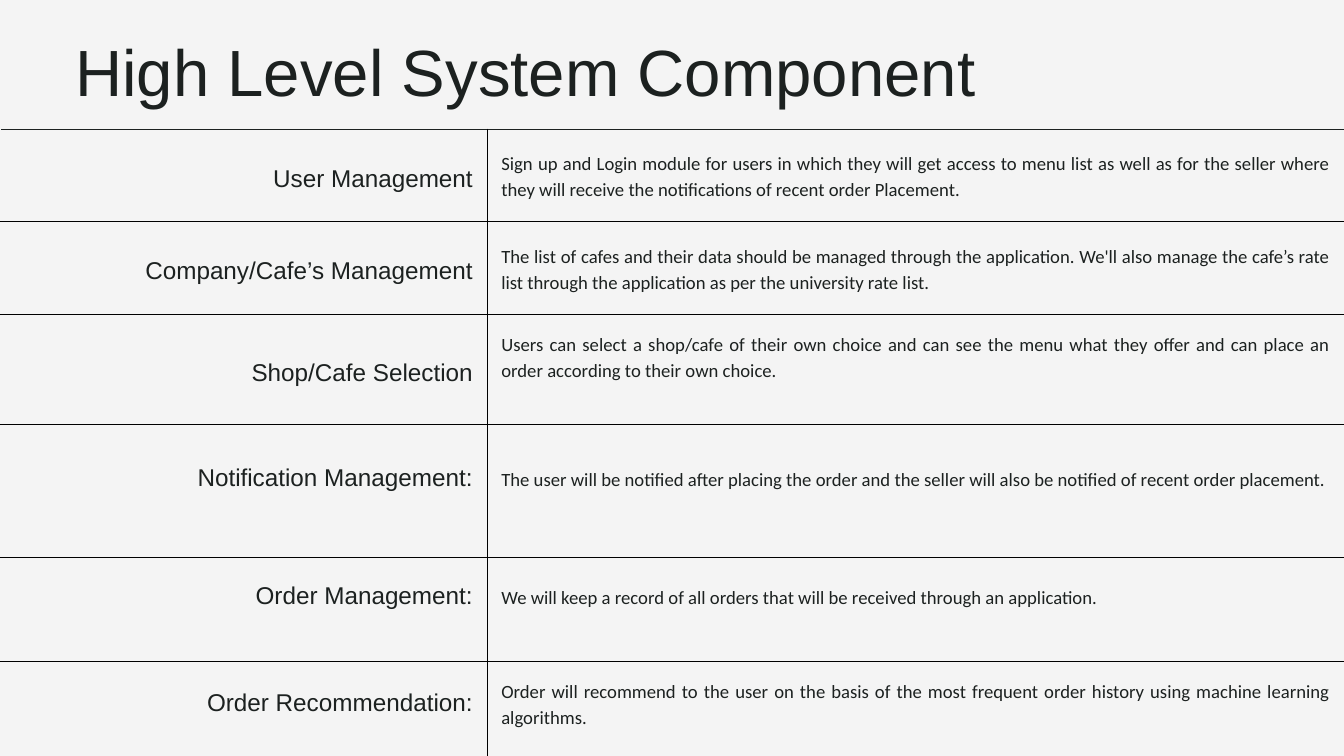
from dataclasses import dataclass

import pptx
import pptx.dml.color
import pptx.enum.text
import pptx.oxml
import pptx.oxml.ns
import pptx.util
from pptx.util import Inches

ALIGN = pptx.enum.text.PP_ALIGN


@dataclass(frozen=True)
class Theme:
    paper: str = "F4F4F4"
    ink: str = "1C2120"
    rule: str = "000000"
    rule_pt: float = 0.75
    heading_font: str = "Arial"
    body_font: str = "Calibri"
    title_pt: float = 70
    label_pt: float = 26
    body_pt: float = 20
    label_leading: float = 36.4
    body_leading: float = 28
    title_leading: float = 84
    inset: float = 0.21


def rgb(value):
    return pptx.dml.color.RGBColor.from_string(value)


def write(tf, text, *, font, size, color, leading, align=ALIGN.LEFT):
    p = tf.paragraphs[0]
    p.alignment = align
    p.line_spacing = pptx.util.Pt(leading)
    r = p.add_run()
    r.text = text
    r.font.name = font
    r.font.size = pptx.util.Pt(size)
    r.font.color.rgb = rgb(color)


class Deck:
    def __init__(self, prs, theme):
        self.theme = theme
        self.s = prs.slides.add_slide(prs.slide_layouts[6])
        self.s.background.fill.solid()
        self.s.background.fill.fore_color.rgb = rgb(theme.paper)

    def title(self, text, left, top, width, height):
        t = self.theme
        sp = self.s.shapes.add_textbox(
            Inches(left), Inches(top), Inches(width), Inches(height))
        tf = sp.text_frame
        tf.word_wrap = True
        tf.auto_size = pptx.enum.text.MSO_AUTO_SIZE.SHAPE_TO_FIT_TEXT
        tf.margin_left = tf.margin_right = tf.margin_top = tf.margin_bottom = 0
        write(tf, text, font=t.heading_font, size=t.title_pt, color=t.ink,
              leading=t.title_leading)

    def borders(self, cell, left, right, top, bottom):
        tc_pr = cell._tc.get_or_add_tcPr()
        width = pptx.util.Pt(self.theme.rule_pt)
        sides = zip("LRTB", (left, right, top, bottom))
        for i, (side, color) in enumerate(sides):
            tc_pr.insert(i, pptx.oxml.parse_xml(
                f'<a:ln{side} {pptx.oxml.ns.nsdecls("a")} w="{width}">'
                f'<a:solidFill><a:srgbClr val="{color}"/></a:solidFill>'
                f'</a:ln{side}>'))

    def cell(self, cell, text, raised, **style):
        """A raised cell keeps one line of room free below its text."""
        cell.fill.background()
        cell.vertical_anchor = pptx.enum.text.MSO_ANCHOR.MIDDLE
        inset = Inches(self.theme.inset)
        cell.margin_left = cell.margin_right = cell.margin_top = inset
        room = pptx.util.Pt(style["leading"]) if raised else 0
        cell.margin_bottom = inset + room
        write(cell.text_frame, text, color=self.theme.ink, **style)

    def table(self, components, left, top, widths, heights):
        t = self.theme
        table = self.s.shapes.add_table(
            len(components), len(widths), Inches(left), Inches(top),
            Inches(sum(widths)), Inches(sum(heights))).table
        table.first_row = table.horz_banding = False
        for column, width in zip(table.columns, widths):
            column.width = Inches(width)
        for row, height in zip(table.rows, heights):
            row.height = Inches(height)

        label = dict(font=t.heading_font, size=t.label_pt,
                     leading=t.label_leading, align=ALIGN.RIGHT)
        body = dict(font=t.body_font, size=t.body_pt,
                    leading=t.body_leading, align=ALIGN.JUSTIFY)
        last = len(components) - 1
        for i, (name, detail, name_raised, detail_raised) in enumerate(components):
            name_cell, detail_cell = table.cell(i, 0), table.cell(i, 1)
            self.cell(name_cell, name, name_raised, **label)
            self.cell(detail_cell, detail, detail_raised, **body)
            # Outer sides blend into the paper, inner rules are black
            edges = (t.ink if i == 0 else t.rule,
                     t.ink if i == last else t.rule)
            self.borders(name_cell, t.paper, t.rule, *edges)
            self.borders(detail_cell, t.rule, t.paper, *edges)


# Name, description, and whether each of the two sits raised in its cell
COMPONENTS = [
    ("User Management",
     "Sign up and Login module for users in which they will get access to "
     "menu list as well as for the seller where they will receive the "
     "notifications of recent order Placement.", False, False),
    ("Company/Cafe’s Management",
     "The list of cafes and their data should be managed through the "
     "application. We'll also manage the cafe’s rate list through the "
     "application as per the university rate list.", False, False),
    ("Shop/Cafe Selection",
     "Users can select a shop/cafe of their own choice and can see the menu "
     "what they offer and can place an order according to their own choice.",
     False, True),
    ("Notification Management:",
     "The user will be notified after placing the order and the seller will "
     "also be notified of recent order placement.", True, True),
    ("Order Management:",
     "We will keep a record of all orders that will be received through an "
     "application.", True, True),
    ("Order Recommendation:",
     "Order will recommend to the user on the basis of the most frequent "
     "order history using machine learning algorithms.", True, True),
]


def main():
    prs = pptx.Presentation()
    prs.slide_width, prs.slide_height = Inches(20), Inches(11.25)
    deck = Deck(prs, Theme())

    # Component table
    deck.table(COMPONENTS, 0, 1.92, widths=[7.25, 12.75],
               heights=[1.38, 1.38, 1.64, 1.98, 1.54, 1.64])

    # Heading
    deck.title("High Level System Component", 1.12, 0.47, 18.88, 1.35)

    prs.save("out.pptx")


if __name__ == "__main__":
    main()
